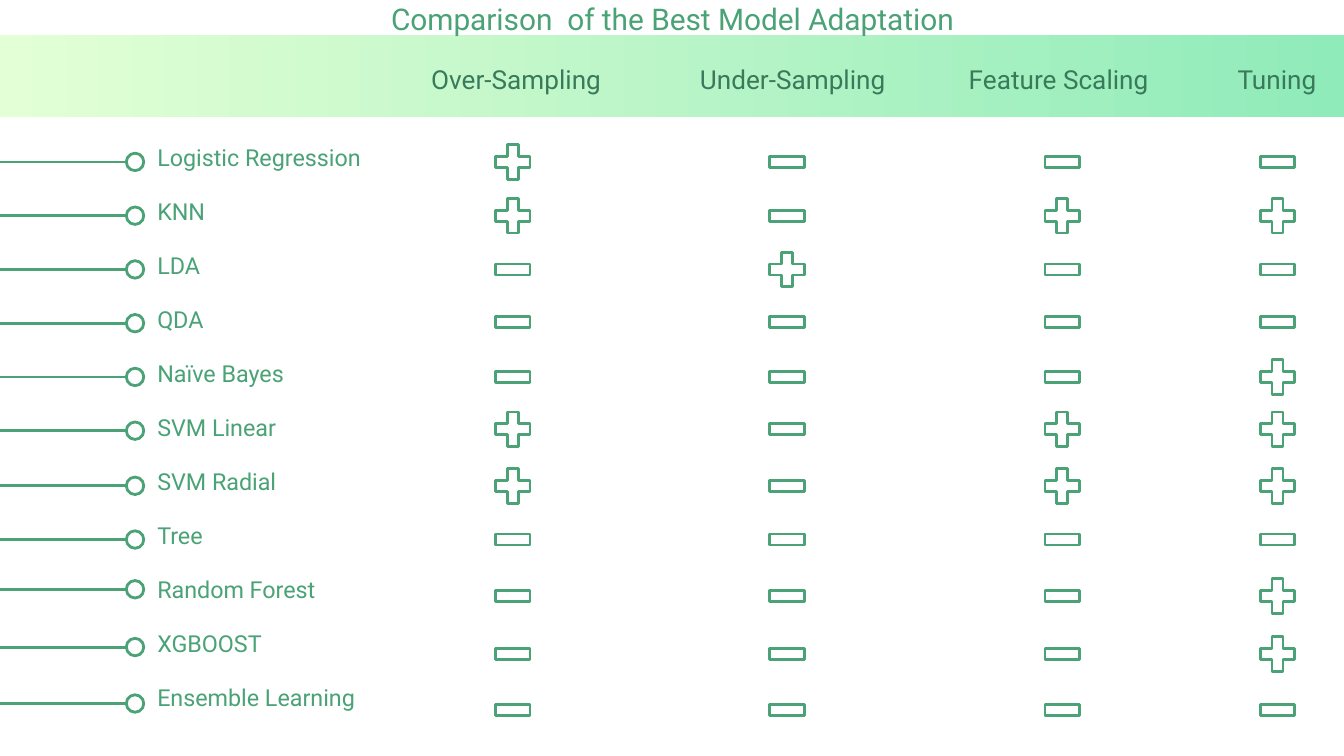
from typing import NamedTuple

from lxml.etree import SubElement
from pptx import Presentation
from pptx.dml.color import RGBColor
from pptx.enum.shapes import MSO_CONNECTOR as Conn, MSO_SHAPE as Shape
from pptx.enum.text import MSO_ANCHOR as Anchor, PP_ALIGN as Align
from pptx.oxml.ns import qn
from pptx.util import Inches, Pt

COLORS = {"green": "4AA276", "dark": "387A59", "black": "000000",
          "pale": "E3FFD5", "mint": "90EBBA"}
SLIDE = {"slide_width": Inches(10), "slide_height": Inches(10) * 9 // 16}
FRAME = {"word_wrap": True, "vertical_anchor": Anchor.MIDDLE,
         "margin_left": Inches(0.1), "margin_right": Inches(0.1),
         "margin_top": Inches(0.1), "margin_bottom": Inches(0.1)}
CELL = {k: v for k, v in FRAME.items() if k != "word_wrap"}
PLAIN_TABLE = {"first_row": False, "horz_banding": False}
SIGN_X = (3.64, 5.68, 7.73, 9.33)
SIGN_SIZE = 0.35
DOT_X, DOT_SIZE = 0.94, 0.13
ROW_H = 0.4
HEADINGS = ("Over-Sampling", "Under-Sampling", "Feature Scaling", "Tuning")
HEADING_TABS = (1.11, 2.11, 3.11, 5.11, 7.11, 9.11)


class Model(NamedTuple):
    name: str
    signs: str
    sign_y: float
    dot_y: float


MODELS = (
    Model("Logistic Regression", "+---", 1.03, 1.14),
    Model("KNN", "+-++", 1.43, 1.54),
    Model("LDA", "-+--", 1.83, 1.94),
    Model("QDA", "----", 2.22, 2.34),
    Model("Naïve Bayes", "---+", 2.63, 2.74),
    Model("SVM Linear", "+-++", 3.02, 3.14),
    Model("SVM Radial", "+-++", 3.44, 3.55),
    Model("Tree", "----", 3.84, 3.95),
    Model("Random Forest", "---+", 4.26, 4.32),
    Model("XGBOOST", "---+", 4.69, 4.75),
    Model("Ensemble Learning", "----", 5.11, 5.17),
)


def rgb(name: str) -> RGBColor:
    return RGBColor.from_string(COLORS[name])


def apply(target, values: dict) -> None:
    for key, value in values.items():
        setattr(target, key, value)


def add_run(p, text: str, size: float, color: str = "green",
            font: str = "Roboto") -> None:
    r = p.add_run()
    r.text = text
    apply(r.font, {"size": Pt(size), "name": font, "bold": False})
    r.font.color.rgb = rgb(color)


def set_line(sp) -> None:
    sp.line.color.rgb = rgb("green")
    sp.line.width = Pt(1.5)


def add_outline(shapes, kind: Shape, x: float, y: float, size: float):
    sp = shapes.add_shape(kind, Inches(x), Inches(y), Inches(size), Inches(size))
    sp.shadow.inherit = False
    sp.fill.background()
    set_line(sp)
    return sp


def add_header(s) -> None:
    sp = s.shapes.add_shape(Shape.RECTANGLE, 0, Inches(0.26), Inches(10), Inches(0.61))
    sp.shadow.inherit = False
    sp.line.fill.background()
    sp.fill.gradient()
    sp.fill.gradient_angle = 0
    for stop, color, position in zip(sp.fill.gradient_stops, ("pale", "mint"), (0, 1)):
        stop.color.rgb = rgb(color)
        stop.position = position
    apply(sp.text_frame, FRAME)
    p = sp.text_frame.paragraphs[0]
    p.alignment = Align.LEFT
    tabs = SubElement(p._p.get_or_add_pPr(), qn("a:tabLst"))
    for x in HEADING_TABS:
        SubElement(tabs, qn("a:tab"), pos=str(Inches(x)), algn="l")
    add_run(p, "\t\t\t", 18, "black", "Arial")
    add_run(p, "\t".join(HEADINGS), 14, "dark")


def add_title(s) -> None:
    sp = s.shapes.add_textbox(Inches(0.79), 0, Inches(8.43), Inches(0.27))
    apply(sp.text_frame, FRAME)
    p = sp.text_frame.paragraphs[0]
    p.alignment = Align.CENTER
    add_run(p, "Comparison  of the Best Model Adaptation", 16)


def add_names(s) -> None:
    table = s.shapes.add_table(len(MODELS), 1, Inches(1.07), Inches(0.98), Inches(1.93),
                               Inches(ROW_H * len(MODELS))).table
    apply(table, PLAIN_TABLE)
    for row, model in zip(table.rows, MODELS):
        row.height = Inches(ROW_H)
        cell = row.cells[0]
        cell.fill.background()
        apply(cell, CELL)
        add_run(cell.text_frame.paragraphs[0], model.name, 12.5)


def add_pin(s, y: float) -> None:
    shapes = s.shapes.add_group_shape().shapes
    add_outline(shapes, Shape.OVAL, DOT_X, y, DOT_SIZE)
    mid = Inches(y + DOT_SIZE / 2)
    line = shapes.add_connector(Conn.STRAIGHT, 0, mid, Inches(DOT_X), mid)
    set_line(line)
    SubElement(line._element.spPr, qn("a:effectLst"))


def add_signs(s, model: Model) -> None:
    for x, sign in zip(SIGN_X, model.signs):
        kind = Shape.MATH_PLUS if sign == "+" else Shape.MATH_MINUS
        sp = add_outline(s.shapes, kind, x, model.sign_y, SIGN_SIZE)
        sp.adjustments[0] = 0.235


def main() -> None:
    prs = Presentation()
    apply(prs, SLIDE)
    s = prs.slides.add_slide(prs.slide_layouts[6])
    add_header(s)
    add_names(s)
    add_title(s)
    for model in MODELS:
        add_pin(s, model.dot_y)
        add_signs(s, model)
    prs.save("out.pptx")


if __name__ == "__main__":
    main()
